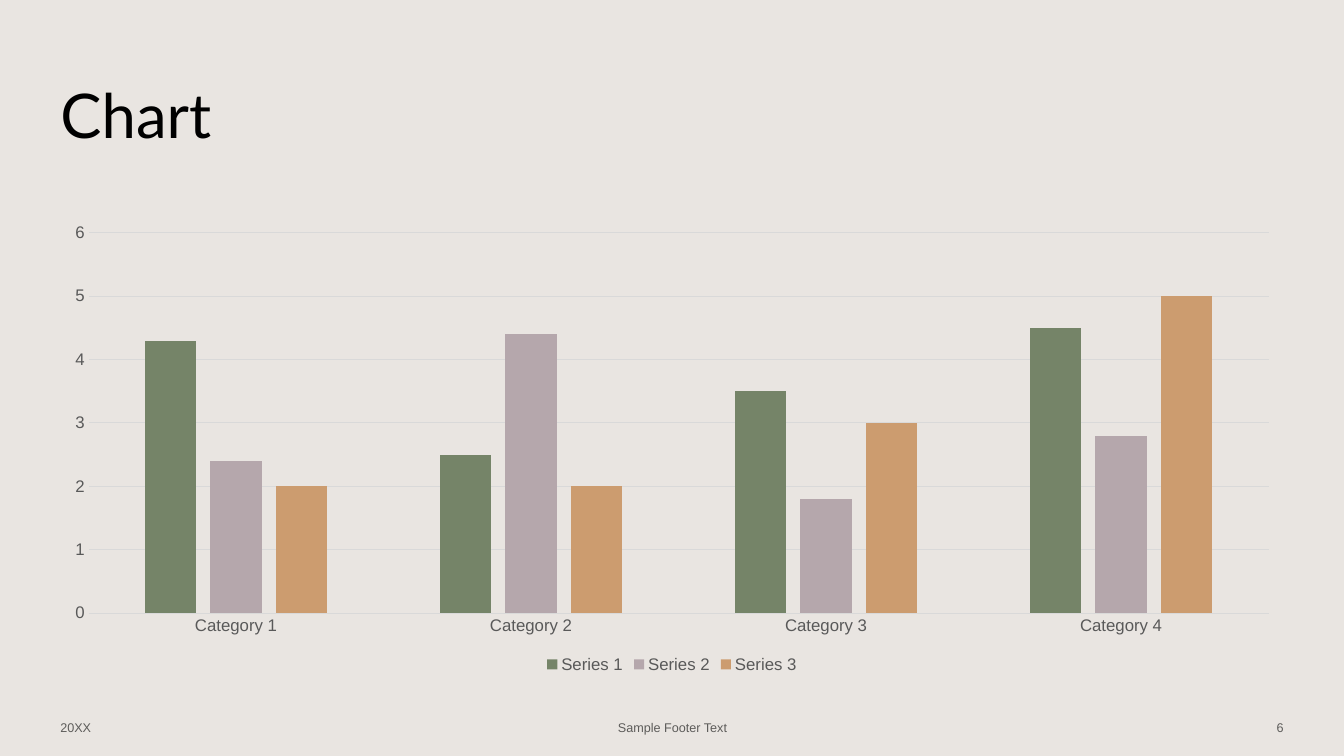
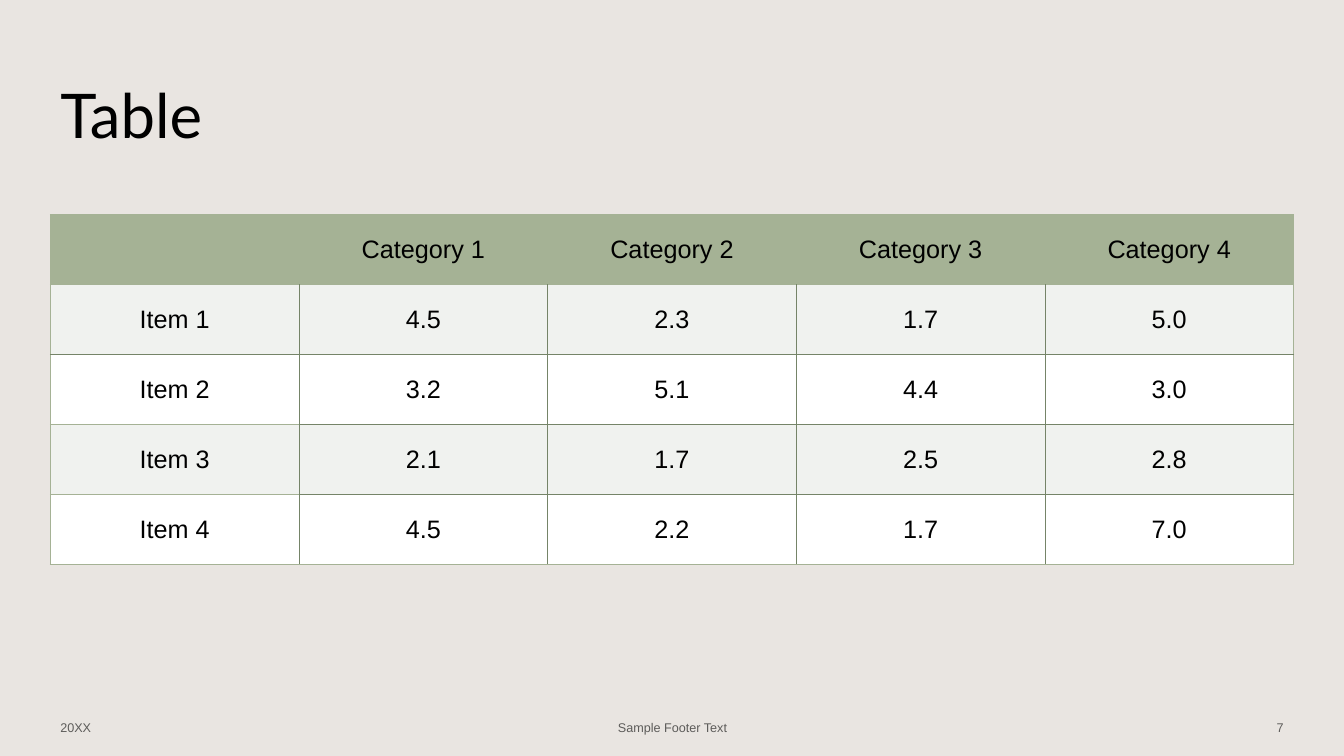
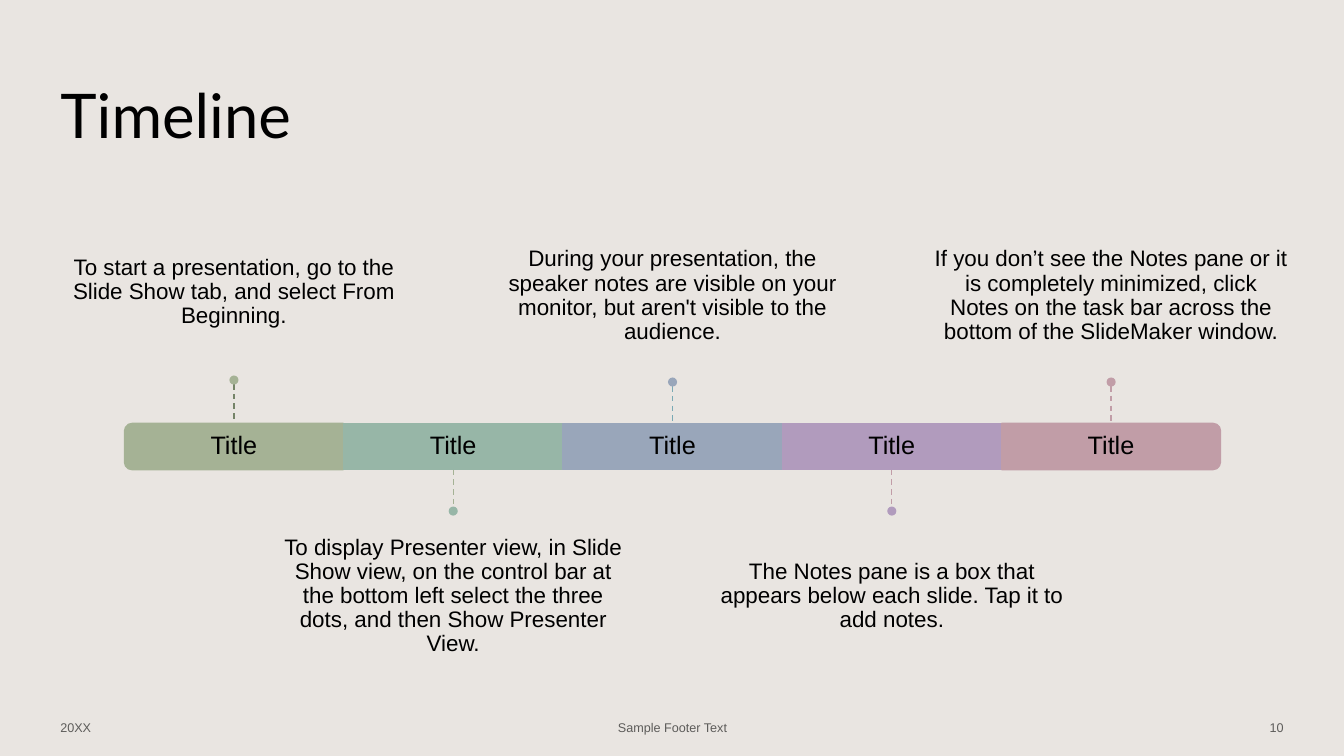
import lxml.etree
import pptx
import pptx.chart.data
import pptx.dml.color
import pptx.enum.chart
import pptx.enum.dml
import pptx.enum.shapes
import pptx.enum.text
import pptx.oxml.ns
import pptx.util

Inches = pptx.util.Inches
Pt = pptx.util.Pt
SHAPE = pptx.enum.shapes.MSO_SHAPE
ALIGN = pptx.enum.text.PP_ALIGN
MIDDLE = pptx.enum.text.MSO_ANCHOR.MIDDLE
qn = pptx.oxml.ns.qn

COLORS = {
    "background": "E9E5E1",
    "text": "000000",
    "footer": "5D5C5A",
    "axis": "595959",
    "grid": "D9D9D9",
    "white": "FFFFFF",
    "band": "F0F2EF",
    "green": "758468",
    "mauve": "B5A7AC",
    "tan": "CC9C6F",
    "sage": "A5B295",
    "mint": "97B6A7",
    "slate": "99A6BA",
    "lilac": "B19BBD",
    "rose": "C19DA7",
    "teal": "79A9B4",
}


def rgb(name):
    return pptx.dml.color.RGBColor.from_string(COLORS[name])


class Deck:
    """Holds the shared style and the slide being built."""

    title_font = "Lato"
    body_font = "Arial"
    margin = 0.5
    content_top = 2.13
    content_width = 12.33

    def __init__(self):
        self.presentation = pptx.Presentation()
        self.presentation.slide_width = Inches(13.33)
        self.presentation.slide_height = Inches(7.5)
        fill = self.presentation.slide_master.background.fill
        fill.solid()
        fill.fore_color.rgb = rgb("background")
        self.slide = None

    def style_font(self, font, size, color="text", name=None):
        font.name = name or self.body_font
        font.size = Pt(size)
        font.color.rgb = rgb(color)

    def new_slide(self, title, number):
        layout = self.presentation.slide_layouts.get_by_name("Title Only")
        self.slide = self.presentation.slides.add_slide(layout)
        shape = self.slide.shapes.title
        shape.left, shape.top = Inches(self.margin), Inches(0.4)
        shape.width, shape.height = Inches(11.92), Inches(1.45)
        frame = shape.text_frame
        frame.text = title
        frame.vertical_anchor = MIDDLE
        frame.auto_size = pptx.enum.text.MSO_AUTO_SIZE.NONE
        paragraph = frame.paragraphs[0]
        paragraph.alignment = ALIGN.LEFT
        self.style_font(paragraph.font, 44, name=self.title_font)

        # Footer: date, text and page number
        for text, left, width, align in (
            ("20XX", self.margin, 3, ALIGN.LEFT),
            ("Sample Footer Text", 4.42, 4.5, ALIGN.CENTER),
            (str(number), 9.83, 3, ALIGN.RIGHT),
        ):
            self.text(text, left, 7.02, width, 0.4, 9, "footer", align)

    def text(self, text, left, top, width, height, size, color="text",
             align=ALIGN.CENTER, insets=(0.1, 0.05), spacing=1.0):
        shape = self.slide.shapes.add_textbox(
            Inches(left), Inches(top), Inches(width), Inches(height))
        frame = shape.text_frame
        frame.word_wrap = True
        frame.vertical_anchor = MIDDLE
        frame.margin_left = frame.margin_right = Inches(insets[0])
        frame.margin_top = frame.margin_bottom = Inches(insets[1])
        frame.text = text
        paragraph = frame.paragraphs[0]
        paragraph.alignment = align
        paragraph.line_spacing = spacing
        self.style_font(paragraph.font, size, color)

    def shape(self, kind, center_x, center_y, width, height, color,
              rotation=0, outlined=False):
        shape = self.slide.shapes.add_shape(
            kind, Inches(center_x - width / 2), Inches(center_y - height / 2),
            Inches(width), Inches(height))
        shape.shadow.inherit = False
        shape.rotation = rotation
        shape.fill.solid()
        shape.fill.fore_color.rgb = rgb(color)
        if outlined:
            shape.line.color.rgb = rgb(color)
            shape.line.width = Pt(1)
        else:
            shape.line.fill.background()

    def stem(self, x, top, height, color):
        connector = self.slide.shapes.add_connector(
            pptx.enum.shapes.MSO_CONNECTOR.STRAIGHT,
            Inches(x), Inches(top), Inches(x), Inches(top + height))
        connector.line.color.rgb = rgb(color)
        connector.line.width = Pt(1)
        connector.line.dash_style = pptx.enum.dml.MSO_LINE.DASH
        lxml.etree.SubElement(connector._element.spPr, qn("a:effectLst"))

    def column_chart(self, categories, series):
        data = pptx.chart.data.CategoryChartData()
        data.categories = categories
        for name, values, _ in series:
            data.add_series(name, values)
        chart = self.slide.shapes.add_chart(
            pptx.enum.chart.XL_CHART_TYPE.COLUMN_CLUSTERED,
            Inches(self.margin), Inches(self.content_top),
            Inches(self.content_width), Inches(4.59), data).chart
        self.style_font(chart.font, 10)
        chart.has_title = False
        chart.has_legend = True
        chart.legend.position = pptx.enum.chart.XL_LEGEND_POSITION.BOTTOM
        chart.legend.include_in_layout = False
        self.style_font(chart.legend.font, 12, "axis")

        plot = chart.plots[0]
        plot.gap_width = 219
        plot.overlap = -27
        plot.vary_by_categories = False
        for columns, (_, _, color) in zip(plot.series, series):
            columns.format.fill.solid()
            columns.format.fill.fore_color.rgb = rgb(color)

        category_axis, value_axis = chart.category_axis, chart.value_axis
        for axis in (category_axis, value_axis):
            axis.major_tick_mark = pptx.enum.chart.XL_TICK_MARK.NONE
            axis.minor_tick_mark = pptx.enum.chart.XL_TICK_MARK.NONE
            self.style_font(axis.tick_labels.font, 12, "axis")
        value_axis.minimum_scale = 0
        value_axis.maximum_scale = 6
        value_axis.major_unit = 1
        value_axis.format.line.fill.background()
        value_axis.has_major_gridlines = True
        for line in (category_axis.format.line,
                     value_axis.major_gridlines.format.line):
            line.color.rgb = rgb("grid")
            line.width = Pt(0.75)

    def table(self, rows, height):
        row_count, column_count = len(rows), len(rows[0])
        table = self.slide.shapes.add_table(
            row_count, column_count, Inches(self.margin),
            Inches(self.content_top), Inches(self.content_width),
            Inches(height)).table
        for row, values in enumerate(rows):
            for column, value in enumerate(values):
                cell = table.cell(row, column)
                for side in "LRTB":
                    self.cell_border(cell, side, border_style(
                        row, column, side, row_count, column_count))
                cell.fill.solid()
                cell.fill.fore_color.rgb = rgb(
                    "sage" if row == 0 else "band" if row % 2 else "white")
                cell.vertical_anchor = MIDDLE
                cell.text = value
                paragraph = cell.text_frame.paragraphs[0]
                paragraph.alignment = ALIGN.CENTER
                paragraph.font.bold = False
                self.style_font(paragraph.font, 18)

    def cell_border(self, cell, side, style):
        properties = cell._tc.get_or_add_tcPr()
        line = lxml.etree.SubElement(properties, qn("a:ln" + side))
        if style is None:
            lxml.etree.SubElement(line, qn("a:noFill"))
            return
        color, width = style
        line.set("w", str(int(Pt(width))))
        fill = lxml.etree.SubElement(line, qn("a:solidFill"))
        lxml.etree.SubElement(fill, qn("a:srgbClr")).set("val", COLORS[color])


def border_style(row, column, side, row_count, column_count):
    """Sage frame and header, thin green lines inside."""
    soft, thin = ("sage", 1), ("green", 0.5)
    if side in "LR":
        edge = column + (side == "R")
        if edge in (0, column_count):
            return soft
        return thin if row else None
    edge = row + (side == "B")
    if edge in (0, 1, row_count) or (column == 0 and edge > 2):
        return soft
    return thin


def build_chart(deck):
    deck.new_slide("Chart", 6)
    deck.column_chart(
        [f"Category {number}" for number in range(1, 5)],
        [("Series 1", (4.3, 2.5, 3.5, 4.5), "green"),
         ("Series 2", (2.4, 4.4, 1.8, 2.8), "mauve"),
         ("Series 3", (2, 2, 3, 5), "tan")])


def build_table(deck):
    deck.new_slide("Table", 7)
    deck.table([
        ("", "Category 1", "Category 2", "Category 3", "Category 4"),
        ("Item 1", "4.5", "2.3", "1.7", "5.0"),
        ("Item 2", "3.2", "5.1", "4.4", "3.0"),
        ("Item 3", "2.1", "1.7", "2.5", "2.8"),
        ("Item 4", "4.5", "2.2", "1.7", "7.0"),
    ], 3.47)


def build_timeline(deck):
    deck.new_slide("Timeline", 10)
    # Callout top, callout height, dot centre, stem top
    first = (2.13, 1.54, 3.77, 3.81)
    upper = (2.13, 1.61, 3.79, 3.83)
    lower = (5.11, 1.61, 5.07, 4.66)
    steps = [
        ("sage", "green", first,
         "To start a presentation, go to the Slide Show tab, and select "
         "From Beginning."),
        ("mint", "sage", lower,
         "To display Presenter view, in Slide Show view, on the control bar "
         "at the bottom left select the three dots, and then Show Presenter "
         "View."),
        ("slate", "teal", upper,
         "During your presentation, the speaker notes are visible on your "
         "monitor, but aren't visible to the audience."),
        ("lilac", "rose", lower,
         "The Notes pane is a box that appears below each slide. Tap it to "
         "add notes."),
        ("rose", "rose", upper,
         "If you don’t see the Notes pane or it is completely minimized, "
         "click Notes on the task bar across the bottom of the SlideMaker "
         "window."),
    ]
    bar_y, bar_height, segment_width = 4.43, 0.46, 2.17
    pitch = (11.02 - 2.32) / (len(steps) - 1)
    end_rotations = {0: 270, len(steps) - 1: 90}
    callout_width = 3.62

    for index, (color, stem_color, places, callout) in enumerate(steps):
        x = 2.32 + index * pitch
        callout_top, callout_height, dot_y, stem_top = places

        # Bar segment, rounded at both ends of the bar
        if index in end_rotations:
            deck.shape(SHAPE.ROUND_2_SAME_RECTANGLE, x, bar_y, bar_height,
                       segment_width, color, end_rotations[index], True)
        else:
            deck.shape(SHAPE.RECTANGLE, x, bar_y, segment_width, bar_height,
                       color, outlined=True)
        deck.text("Title", x - segment_width / 2, bar_y - bar_height / 2,
                  segment_width, bar_height, 18, insets=(0.04, 0),
                  spacing=0.9)

        # Callout with its stem and dot
        deck.text(callout, x - callout_width / 2, callout_top, callout_width,
                  callout_height, 16, insets=(0.06, 0.03), spacing=0.9)
        deck.stem(x, stem_top, 0.37, stem_color)
        deck.shape(SHAPE.OVAL, x, dot_y, 0.09, 0.09, color)


def main():
    deck = Deck()
    build_chart(deck)
    build_table(deck)
    build_timeline(deck)
    deck.presentation.save("out.pptx")


if __name__ == "__main__":
    main()
